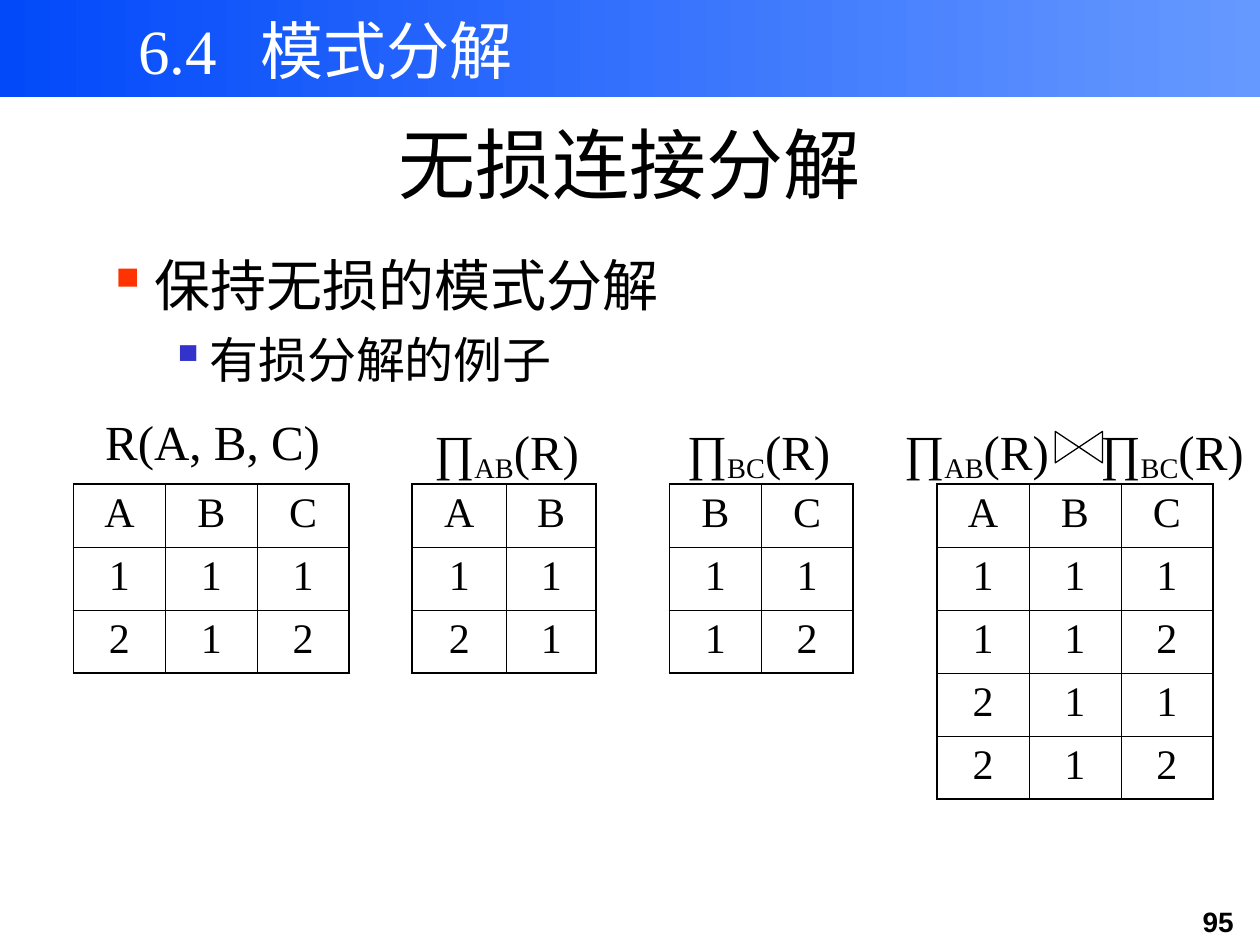
from lxml.etree import SubElement
from pptx import Presentation
from pptx.dml.color import RGBColor
from pptx.enum.shapes import MSO_SHAPE
from pptx.enum.text import MSO_ANCHOR, PP_ALIGN
from pptx.oxml.ns import qn
from pptx.util import Pt

BLACK = RGBColor(0x00, 0x00, 0x00)
WHITE = RGBColor(0xFF, 0xFF, 0xFF)
BAR_START = RGBColor(0x02, 0x49, 0xFA)
BAR_END = RGBColor(0x66, 0x99, 0xFF)
SERIF, SANS = "Times New Roman", "Arial"

CHAPTER = "6.4\t模式分解"
CHAPTER_TAB = 70
TITLE = "无损连接分解"
PAGE_NUMBER = "95"
# text, size, left margin, hanging indent, space before, bullet colour
OUTLINE = [
    ("保持无损的模式分解", 32, 27, 27, 0, "FF3300"),
    ("有损分解的例子", 28, 58.5, 22.5, 7, "3333CC"),
]
# left, top, width, pieces of the label; the second piece is a subscript
LABELS = [
    (49.5, 228, 144, ["R(A, B, C)"]),
    (217.5, 234.75, 144, ["∏", "AB", "(R)"]),
    (361.5, 234.75, 144, ["∏", "BC", "(R)"]),
    (486, 234.75, 144, ["∏", "AB", "(R)"]),
    (619.5, 234.75, 100.5, ["∏", "BC", "(R)"]),
]
LABEL_HEIGHT = 48
# left, column widths, rows with one character per cell
COLUMN = 52.5
RELATIONS = [
    (42, [COLUMN] * 3, ["ABC", "111", "212"]),
    (235.5, [54, 51], ["AB", "11", "21"]),
    (382.5, [COLUMN] * 2, ["BC", "11", "12"]),
    (535.5, [COLUMN] * 3, ["ABC", "111", "112", "211", "212"]),
]
TABLE_TOP, ROW_HEIGHT = 276.5, 36
OUTER_LINE, INNER_LINE = 1.08, 0.45


def set_font(paragraph, size, color=BLACK, name=SERIF):
    paragraph.font.size = Pt(size)
    paragraph.font.name = name
    paragraph.font.color.rgb = color


def add_text_frame(slide, left, top, width, height, anchor=MSO_ANCHOR.MIDDLE):
    box = slide.shapes.add_textbox(Pt(left), Pt(top), Pt(width), Pt(height))
    frame = box.text_frame
    frame.word_wrap = True
    frame.vertical_anchor = anchor
    return frame


def add_header(slide):
    bar = slide.shapes.add_shape(MSO_SHAPE.RECTANGLE, 0, 0, Pt(720), Pt(55.5))
    bar.shadow.inherit = False
    bar.line.fill.background()
    bar.fill.gradient()
    bar.fill.gradient_angle = 0
    for stop, color in zip(bar.fill.gradient_stops, (BAR_START, BAR_END)):
        stop.color.rgb = color

    chapter = add_text_frame(slide, 72, 7.2, 402, 42).paragraphs[0]
    chapter.text = CHAPTER
    tabs = SubElement(chapter._p.get_or_add_pPr(), qn("a:tabLst"))
    SubElement(tabs, qn("a:tab"), pos=str(Pt(CHAPTER_TAB)), algn="l")
    set_font(chapter, 36, WHITE)


def add_outline(slide):
    frame = add_text_frame(slide, 54, 139.5, 612, 330, MSO_ANCHOR.TOP)
    for level, (text, size, margin, hanging, before, color) in enumerate(OUTLINE):
        item = frame.add_paragraph() if level else frame.paragraphs[0]
        item.text = text
        item.level = level
        if before:
            item.space_before = Pt(before)
        properties = item._p.get_or_add_pPr()
        properties.set("marL", str(Pt(margin)))
        properties.set("indent", str(-Pt(hanging)))
        bullet_color = SubElement(properties, qn("a:buClr"))
        SubElement(bullet_color, qn("a:srgbClr"), val=color)
        SubElement(properties, qn("a:buChar"), char="▪")
        set_font(item, size)


def add_label(slide, left, top, width, pieces):
    label = add_text_frame(slide, left, top, width, LABEL_HEIGHT).paragraphs[0]
    label.alignment = PP_ALIGN.CENTER
    for position, piece in enumerate(pieces):
        run = label.add_run()
        run.text = piece
        if position == 1:
            run._r.get_or_add_rPr().set("baseline", "-16000")
    set_font(label, 28)


def set_borders(cell, widths):
    """Draw the left, right, top and bottom lines of a cell."""
    properties = cell._tc.get_or_add_tcPr()
    for position, (side, width) in enumerate(zip("LRTB", widths)):
        line = properties.makeelement(qn(f"a:ln{side}"), {"w": str(Pt(width))})
        fill = SubElement(line, qn("a:solidFill"))
        SubElement(fill, qn("a:srgbClr"), val=str(BLACK))
        properties.insert(position, line)


def add_relation(slide, left, widths, rows):
    last_row, last_column = len(rows) - 1, len(widths) - 1
    table = slide.shapes.add_table(
        len(rows), len(widths), Pt(left), Pt(TABLE_TOP),
        Pt(sum(widths)), Pt(ROW_HEIGHT * len(rows))).table
    table.first_row = table.horz_banding = False
    for column, width in zip(table.columns, widths):
        column.width = Pt(width)
    for r, values in enumerate(rows):
        table.rows[r].height = Pt(ROW_HEIGHT)
        for c, value in enumerate(values):
            cell = table.cell(r, c)
            cell.fill.background()
            edges = (c == 0, c == last_column, r == 0, r == last_row)
            set_borders(cell, [OUTER_LINE if e else INNER_LINE for e in edges])
            entry = cell.text_frame.paragraphs[0]
            entry.text = value
            entry.alignment = PP_ALIGN.CENTER
            set_font(entry, 24)


def add_join_sign(slide):
    join = slide.shapes.add_shape(
        MSO_SHAPE.FLOWCHART_COLLATE, Pt(607.5), Pt(242), Pt(18), Pt(27))
    join.rotation = 90
    join.shadow.inherit = False
    join.fill.background()
    join.line.color.rgb = BLACK
    join.line.width = Pt(0.75)


def main():
    presentation = Presentation()
    presentation.slide_width, presentation.slide_height = Pt(720), Pt(540)
    slide = presentation.slides.add_slide(presentation.slide_layouts[6])

    add_header(slide)
    number = add_text_frame(
        slide, 672, 513.5, 48, 26.5, MSO_ANCHOR.TOP).paragraphs[0]
    number.text = PAGE_NUMBER
    number.alignment = PP_ALIGN.CENTER
    set_font(number, 16, name=SANS)
    number.font.bold = True

    title = add_text_frame(slide, 54, 48, 612, 90).paragraphs[0]
    title.text = TITLE
    title.alignment = PP_ALIGN.CENTER
    set_font(title, 44)

    add_outline(slide)
    for relation in RELATIONS:
        add_relation(slide, *relation)
    for label in LABELS:
        add_label(slide, *label)
    add_join_sign(slide)
    presentation.save("out.pptx")


if __name__ == "__main__":
    main()
